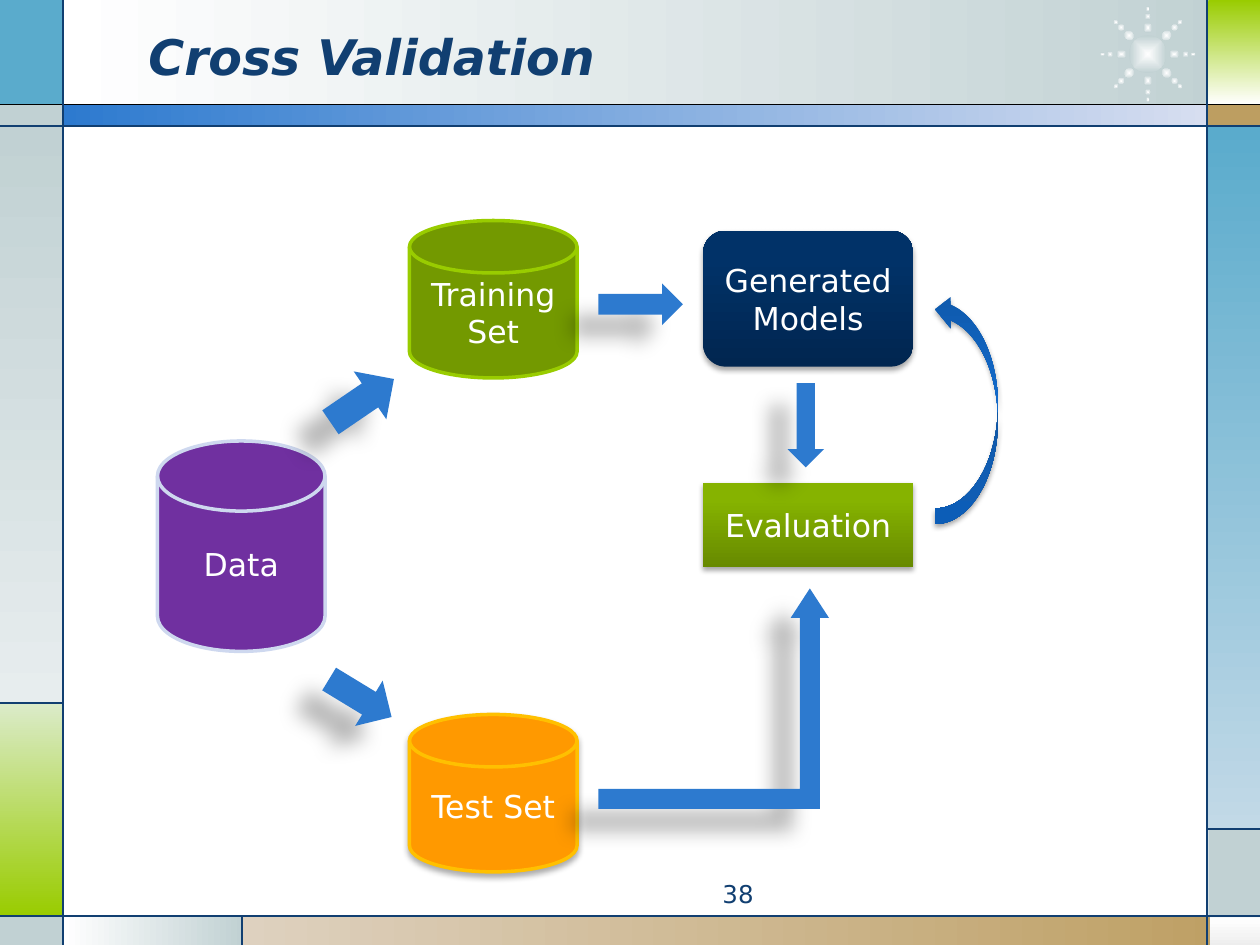
from math import cos, radians, sin

from pptx import Presentation
from pptx.dml.color import RGBColor
from pptx.enum.shapes import MSO_CONNECTOR, MSO_SHAPE
from pptx.enum.text import MSO_ANCHOR, PP_ALIGN
from pptx.oxml import parse_xml
from pptx.oxml.ns import nsdecls, qn
from pptx.util import Inches, Pt

FONT = "DejaVu Sans"
NAVY, BLUE, TEAL, MIST, TAN, LIME, WHITE = (
    "113F71", "2D7ACF", "5AABCC", "C1D1D3", "BD9E61", "99CC00", "FFFFFF")

# Frame panels: left, top, width, height, fill (a colour, or stops and angle)
PANELS = [
    (0.5, 0, 9.27, 0.84, ([(0, WHITE), (100, MIST)], 0)),
    (0, 0, 0.5, 0.84, TEAL),
    (0, 0.83, 0.5, 0.17, MIST),
    (0, 1, 0.5, 4.58, ([(0, MIST), (100, "E7EDEE")], 90)),
    (0, 5.58, 0.5, 1.69, ([(0, "DBEBC9"), (100, LIME)], 90)),
    (0, 7.28, 0.5, 0.23, MIST),
    (0.5, 7.27, 1.43, 0.24, ([(0, WHITE), (100, MIST)], 0)),
    (1.92, 7.27, 8.08, 0.24, ([(0, "DED1BF"), (100, TAN)], 0)),
    (9.6, 7.28, 0.4, 0.23, ([(0, WHITE), (100, "EDEDED")], 90)),
    (9.59, 6.58, 0.41, 0.7, MIST),
    (9.58, 1, 0.42, 5.58, ([(0, TEAL), (100, "C2D9E7")], 90)),
    (9.58, 0.83, 0.42, 0.17, TAN),
    (9.59, 0, 0.41, 0.83, ([(0, LIME), (100, WHITE)], 90)),
    (0.5, 0.83, 9.09, 0.17, ([(0, BLUE), (100, "D7DEF0")], 0)),
]

# Frame lines: x1, y1, x2, y2, colour
RULES = [
    (0, 0.83, 10, 0.83, "000000"),
    (0, 1, 10, 1, NAVY),
    (0, 7.27, 10, 7.27, NAVY),
    (0.5, 0, 0.5, 7.5, NAVY),
    (9.58, 0, 9.58, 7.5, NAVY),
    (0.5, 5.58, 0, 5.58, NAVY),
    (1.92, 7.27, 1.92, 7.5, NAVY),
    (9.58, 6.58, 10, 6.58, NAVY),
]

# Sunburst: centre, core size, and (radius, width, height) of the dots on a ray
BURST_X, BURST_Y, CORE = 9.11, 0.43, 0.3
RAY_DOTS = [(0.3, 0.05, 0.05), (0.36, 0.04, 0.03), (0.21, 0.08, 0.07)]
GLOW = ([(0, WHITE), (100, MIST)], None)

# Shadows: opacity %, blur pt, distance pt, direction
SOFT, DEEP, DISK_SHADOW = (35, 3.1, 1.8, 90), (28, 11.8, 19.7, 141), (32, 3.5, 2.2, 90)

# Stages: text, shape, box, fill, line, shadow
DISK = MSO_SHAPE.FLOWCHART_MAGNETIC_DISK
STAGES = [
    ("Data", DISK, (1.25, 3.5, 1.33, 1.67), "7030A0", "CED8EF", None),
    ("Training Set", DISK, (3.25, 1.75, 1.33, 1.25), "739900", LIME, None),
    ("Test Set", DISK, (3.25, 5.67, 1.33, 1.25), "FF9900", "FFC000", DISK_SHADOW),
    ("Evaluation", MSO_SHAPE.FLOWCHART_PROCESS, (5.58, 3.83, 1.67, 0.67),
     ([(0, "678A00"), (80, "86B300"), (100, "86B400")], 270), None, SOFT),
    ("Generated Models", MSO_SHAPE.FLOWCHART_ALTERNATE_PROCESS, (5.58, 1.83, 1.67, 1.08),
     ([(0, "012650"), (80, "013268"), (100, "003269")], 270), None, SOFT),
]

# Arrows: shape, box, rotation, adjustments, fill, shadow
RIGHT = MSO_SHAPE.RIGHT_ARROW
ARROWS = [
    (RIGHT, (2.57, 2.95, 0.61, 0.46), 325.7, (), BLUE, DEEP),
    (RIGHT, (2.57, 5.33, 0.58, 0.42), 31.3, (), BLUE, DEEP),
    (RIGHT, (4.75, 2.25, 0.67, 0.33), 0, (), BLUE, DEEP),
    (RIGHT, (6.06, 3.23, 0.67, 0.29), 90, (), BLUE, DEEP),
    (MSO_SHAPE.BENT_UP_ARROW, (4.75, 4.67, 1.83, 1.75), 0, (0.091, 0.087, 0.134), BLUE, DEEP),
    (MSO_SHAPE.CURVED_RIGHT_ARROW, (7.42, 2.33, 0.5, 1.83), 180, (),
     ([(0, "0F5AAD"), (80, "1475E0"), (100, "1075E5")], 270), SOFT),
]


def rgb(value):
    return RGBColor.from_string(value)


def set_gradient(s, stops, angle):
    """Linear gradient at an angle, or one spreading from the centre if None."""
    s.fill.gradient()
    old = s._element.spPr.find(qn("a:gradFill"))
    gs = "".join(f'<a:gs pos="{pos * 1000}"><a:srgbClr val="{c}"/></a:gs>' for pos, c in stops)
    if angle is None:
        way = ('<a:path path="shape"><a:fillToRect l="50000" t="50000" '
               'r="50000" b="50000"/></a:path>')
    else:
        way = f'<a:lin ang="{angle * 60000}" scaled="0"/>'
    new = parse_xml(f'<a:gradFill {nsdecls("a")} rotWithShape="1">'
                    f'<a:gsLst>{gs}</a:gsLst>{way}</a:gradFill>')
    old.getparent().replace(old, new)


def set_shadow(s, opacity, blur, distance, direction):
    s._element.spPr.find(qn("a:effectLst")).append(parse_xml(
        f'<a:outerShdw {nsdecls("a")} blurRad="{Pt(blur)}" dist="{Pt(distance)}" '
        f'dir="{direction * 60000}" algn="ctr" rotWithShape="0"><a:srgbClr val="000000">'
        f'<a:alpha val="{opacity * 1000}"/></a:srgbClr></a:outerShdw>'))


def add_shape(shapes, kind, box, fill, line=None, shadow=None, rotation=0):
    s = shapes.add_shape(kind, *map(Inches, box))
    s.rotation = rotation
    s.shadow.inherit = False
    if isinstance(fill, str):
        s.fill.solid()
        s.fill.fore_color.rgb = rgb(fill)
    else:
        set_gradient(s, *fill)
    if line:
        s.line.color.rgb = rgb(line)
        s.line.width = Pt(2)
    else:
        s.line.fill.background()
    if shadow:
        set_shadow(s, *shadow)
    return s


def write(s, text, color, align, anchor, size, **extra):
    tf = s.text_frame
    tf.word_wrap = True
    tf.vertical_anchor = anchor
    p = tf.paragraphs[0]
    p.alignment = align
    r = p.add_run()
    r.text = text
    r.font.color.rgb = rgb(color)
    for name, value in dict(name=FONT, size=Pt(size), **extra).items():
        setattr(r.font, name, value)


def main():
    prs = Presentation()
    prs.slide_width, prs.slide_height = Inches(10), Inches(7.5)
    shapes = prs.slides.add_slide(prs.slide_layouts[6]).shapes

    # Frame
    for *box, fill in PANELS:
        add_shape(shapes, MSO_SHAPE.RECTANGLE, box, fill)

    # Sunburst
    burst = shapes.add_group_shape().shapes
    add_shape(burst, MSO_SHAPE.OVAL,
              (BURST_X - CORE / 2, BURST_Y - CORE / 2, CORE, CORE), GLOW)
    for angle in range(0, 360, 45):
        for radius, w, h in RAY_DOTS:
            x = BURST_X + radius * cos(radians(angle))
            y = BURST_Y + radius * sin(radians(angle))
            add_shape(burst, MSO_SHAPE.OVAL, (x - w / 2, y - h / 2, w, h), GLOW, rotation=angle)

    # Frame lines
    for *ends, color in RULES:
        c = shapes.add_connector(MSO_CONNECTOR.STRAIGHT, *map(Inches, ends))
        c.line.color.rgb = rgb(color)
        c.line.width = Pt(0.75)
        c._element.spPr.append(parse_xml(f'<a:effectLst {nsdecls("a")}/>'))

    # Title and slide number
    title = shapes.add_textbox(*map(Inches, (1.08, 0.13, 7.33, 0.62)))
    write(title, "Cross Validation", NAVY, PP_ALIGN.LEFT, MSO_ANCHOR.MIDDLE, 28,
          bold=True, italic=True)
    number = shapes.add_textbox(*map(Inches, (3.75, 6.93, 2.33, 0.27)))
    write(number, "38", NAVY, PP_ALIGN.RIGHT, MSO_ANCHOR.TOP, 14)

    # Diagram
    for text, kind, box, fill, line, shadow in STAGES:
        s = add_shape(shapes, kind, box, fill, line, shadow)
        write(s, text, WHITE, PP_ALIGN.CENTER, MSO_ANCHOR.MIDDLE, 18)
    for kind, box, rotation, adjustments, fill, shadow in ARROWS:
        s = add_shape(shapes, kind, box, fill, shadow=shadow, rotation=rotation)
        for i, value in enumerate(adjustments):
            s.adjustments[i] = value

    prs.save("out.pptx")


if __name__ == "__main__":
    main()
